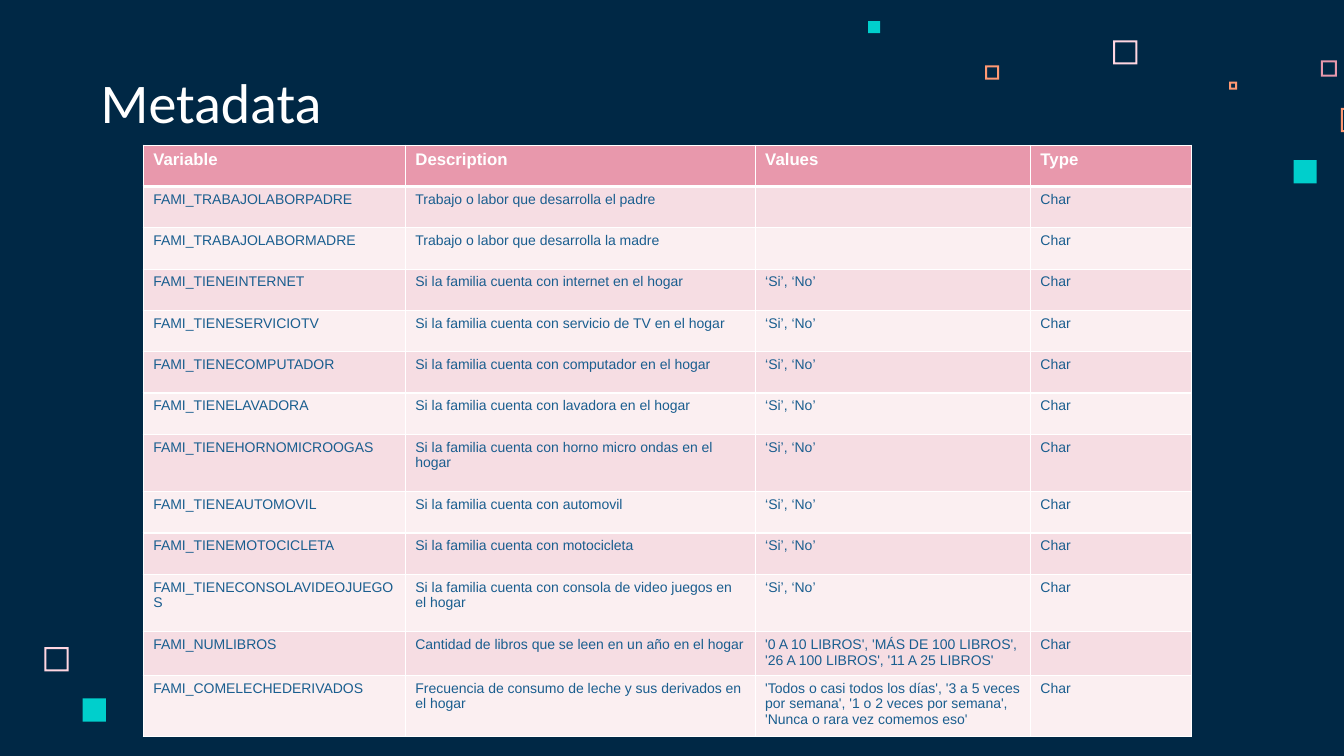
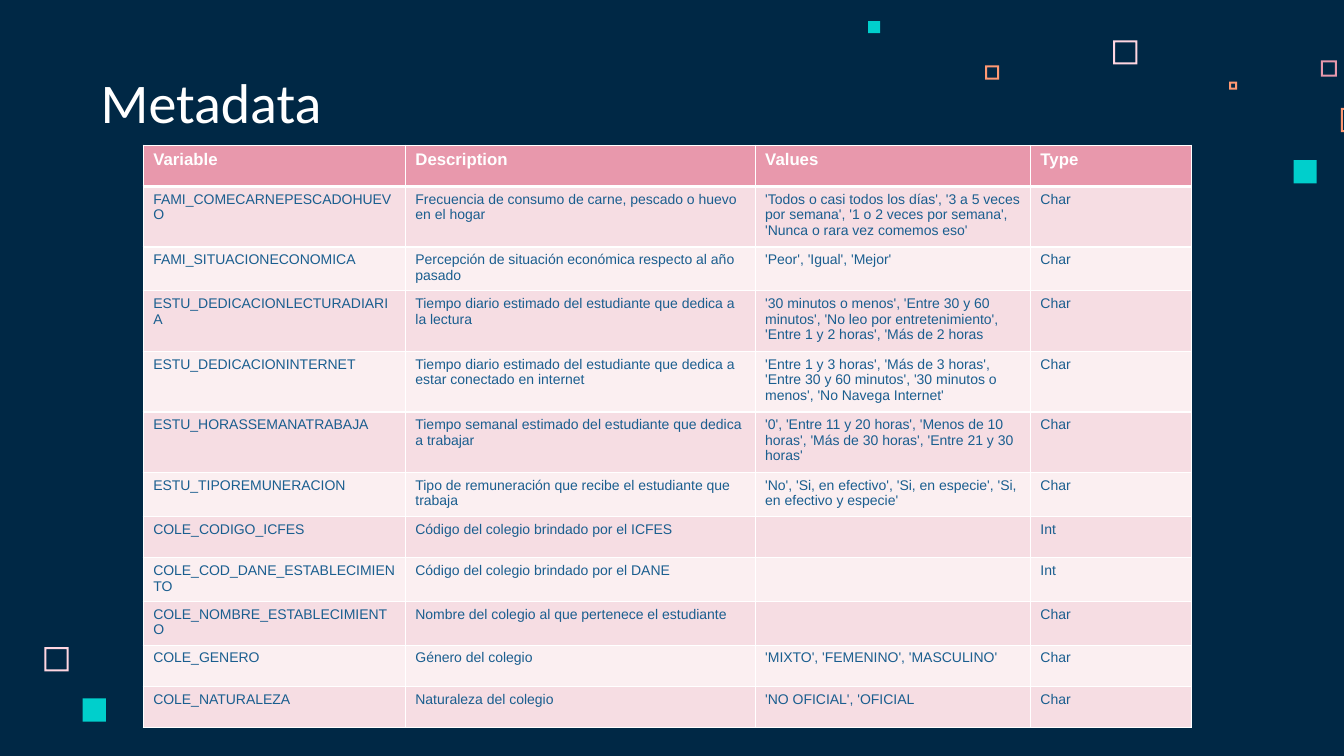
from lxml.etree import SubElement
from pptx import Presentation
from pptx.dml.color import RGBColor
from pptx.enum.shapes import MSO_SHAPE
from pptx.enum.text import MSO_ANCHOR
from pptx.oxml.ns import qn
from pptx.util import Inches, Pt

COLORS = {
    "background": "002845", "white": "FFFFFF", "text": "1A5E8F",
    "header": "E898AC", "odd": "F6DDE3", "even": "FBEFF1",
    "blush": "FFD6E1", "rose": "E898AC", "orange": "FF9973", "teal": "00CFCC",
}

TITLE = "Metadata"
HEADINGS = ("Variable", "Description", "Values", "Type")
YES_NO = "‘Si’, ‘No’"
FREQUENCY = ("'Todos o casi todos los días', '3 a 5 veces por semana', "
             "'1 o 2 veces por semana', 'Nunca o rara vez comemos eso'")

FAMILY = [
    ("FAMI_TRABAJOLABORPADRE", "Trabajo o labor que desarrolla el padre", "", "Char"),
    ("FAMI_TRABAJOLABORMADRE", "Trabajo o labor que desarrolla la madre", "", "Char"),
    ("FAMI_TIENEINTERNET", "Si la familia cuenta con internet en el hogar", YES_NO, "Char"),
    ("FAMI_TIENESERVICIOTV", "Si la familia cuenta con servicio de TV en el hogar",
     YES_NO, "Char"),
    ("FAMI_TIENECOMPUTADOR", "Si la familia cuenta con computador en el hogar",
     YES_NO, "Char"),
    ("FAMI_TIENELAVADORA", "Si la familia cuenta con lavadora en el hogar", YES_NO, "Char"),
    ("FAMI_TIENEHORNOMICROOGAS", "Si la familia cuenta con horno micro ondas en el hogar",
     YES_NO, "Char"),
    ("FAMI_TIENEAUTOMOVIL", "Si la familia cuenta con automovil", YES_NO, "Char"),
    ("FAMI_TIENEMOTOCICLETA", "Si la familia cuenta con motocicleta", YES_NO, "Char"),
    ("FAMI_TIENECONSOLAVIDEOJUEGOS",
     "Si la familia cuenta con consola de video juegos en el hogar", YES_NO, "Char"),
    ("FAMI_NUMLIBROS", "Cantidad de libros que se leen en un año en el hogar",
     "'0 A 10 LIBROS', 'MÁS DE 100 LIBROS', '26 A 100 LIBROS', '11 A 25 LIBROS'", "Char"),
    ("FAMI_COMELECHEDERIVADOS",
     "Frecuencia de consumo de leche y sus derivados en el hogar", FREQUENCY, "Char"),
]

STUDENT_AND_SCHOOL = [
    ("FAMI_COMECARNEPESCADOHUEVO",
     "Frecuencia de consumo de carne, pescado o huevo en el hogar", FREQUENCY, "Char"),
    ("FAMI_SITUACIONECONOMICA", "Percepción de situación económica respecto al año pasado",
     "'Peor', 'Igual', 'Mejor'", "Char"),
    ("ESTU_DEDICACIONLECTURADIARIA",
     "Tiempo diario estimado del estudiante que dedica a la lectura",
     "'30 minutos o menos', 'Entre 30 y 60 minutos', 'No leo por entretenimiento', "
     "'Entre 1 y 2 horas', 'Más de 2 horas", "Char"),
    ("ESTU_DEDICACIONINTERNET",
     "Tiempo diario estimado del estudiante que dedica a estar conectado en internet",
     "'Entre 1 y 3 horas', 'Más de 3 horas', 'Entre 30 y 60 minutos', "
     "'30 minutos o menos', 'No Navega Internet'", "Char"),
    ("ESTU_HORASSEMANATRABAJA",
     "Tiempo semanal estimado del estudiante que dedica a trabajar",
     "'0', 'Entre 11 y 20 horas', 'Menos de 10 horas', 'Más de 30 horas', "
     "'Entre 21 y 30 horas'", "Char"),
    ("ESTU_TIPOREMUNERACION", "Tipo de remuneración que recibe el estudiante que trabaja",
     "'No', 'Si, en efectivo', 'Si, en especie', 'Si, en efectivo y especie'", "Char"),
    ("COLE_CODIGO_ICFES", "Código del colegio brindado por el ICFES", "", "Int"),
    ("COLE_COD_DANE_ESTABLECIMIENTO", "Código del colegio brindado por el DANE", "", "Int"),
    ("COLE_NOMBRE_ESTABLECIMIENTO", "Nombre del colegio al que pertenece el estudiante",
     "", "Char"),
    ("COLE_GENERO", "Género del colegio", "'MIXTO', 'FEMENINO', 'MASCULINO'", "Char"),
    ("COLE_NATURALEZA", "Naturaleza del colegio", "'NO OFICIAL', 'OFICIAL", "Char"),
]

TALL_VARIABLES = {
    "FAMI_TIENEHORNOMICROOGAS", "FAMI_TIENECONSOLAVIDEOJUEGOS", "FAMI_COMELECHEDERIVADOS",
    "FAMI_COMECARNEPESCADOHUEVO", "ESTU_DEDICACIONLECTURADIARIA",
    "ESTU_DEDICACIONINTERNET", "ESTU_HORASSEMANATRABAJA",
}
ROW_HEIGHT, TALL_ROW_HEIGHT = 0.41, 0.57
COLUMN_WIDTHS = (2.6, 3.47, 2.73, 1.6)
TABLE_LEFT, TABLE_TOP = 1.42, 1.44

# left, top, side, colour
OPEN_SQUARES = [
    (11.04, 0.4, 0.24, "blush"), (13.1, 0.6, 0.16, "rose"), (12.19, 0.81, 0.08, "orange"),
    (13.3, 1.07, 0.24, "orange"), (9.77, 0.65, 0.14, "orange"), (0.44, 6.42, 0.24, "blush"),
]
SOLID_SQUARES = [
    (12.83, 1.59, 0.23, "teal"), (8.61, 0.21, 0.12, "teal"), (0.82, 6.93, 0.23, "teal"),
]
SQUARE_EDGE = 0.02


def rgb(name):
    """Return the palette colour called name."""
    return RGBColor.from_string(COLORS[name])


def paint(fill, name):
    """Make a fill solid in a palette colour."""
    fill.solid()
    fill.fore_color.rgb = rgb(name)


def write(frame, text, font, size, color, bold=False):
    """Set the text of a frame and format its runs."""
    frame.text = text
    for run in frame.paragraphs[0].runs:
        run.font.name, run.font.size, run.font.bold = font, Pt(size), bold
        run.font.color.rgb = rgb(color)


def add_square(slide, kind, left, top, side, color):
    """Draw one decorative square and return it."""
    square = slide.shapes.add_shape(
        kind, Inches(left), Inches(top), Inches(side), Inches(side))
    square.shadow.inherit = False
    paint(square.fill, color)
    square.line.fill.background()
    if kind == MSO_SHAPE.FRAME:
        square.adjustments[0] = SQUARE_EDGE / side
    return square


def decorate_layout(layout, slide):
    """Give the layout the background and the squares, drawn first on a slide."""
    paint(layout.background.fill, "background")
    layout_tree = layout.shapes.element
    for placeholder in list(layout.placeholders):
        layout_tree.remove(placeholder.element)
    for kind, squares in ((MSO_SHAPE.FRAME, OPEN_SQUARES),
                          (MSO_SHAPE.RECTANGLE, SOLID_SQUARES)):
        for square in squares:
            layout_tree.append(add_square(slide, kind, *square).element)


def set_borders(cell, top, bottom):
    """Draw white borders, with the top and bottom widths in points."""
    properties = cell._tc.get_or_add_tcPr()
    sides = (("lnL", 1), ("lnR", 1), ("lnT", top), ("lnB", bottom))
    for position, (side, width) in enumerate(sides):
        border = SubElement(properties, qn(f"a:{side}"), w=str(Pt(width)))
        fill = SubElement(border, qn("a:solidFill"))
        SubElement(fill, qn("a:srgbClr"), val=COLORS["white"])
        properties.insert(position, border)


def add_title(slide):
    """Write the slide title."""
    title = slide.shapes.add_textbox(Inches(0.9), Inches(0.6), Inches(6.89), Inches(0.84))
    frame = title.text_frame
    frame.word_wrap = True
    frame.vertical_anchor = MSO_ANCHOR.BOTTOM
    frame.margin_left = frame.margin_right = Inches(0.1)
    frame.margin_top = frame.margin_bottom = Inches(0.1)
    write(frame, TITLE, "Calibri", 40, "white")


def add_variables(slide, variables):
    """Add the table that describes the variables."""
    rows = [HEADINGS, *variables]
    heights = [TALL_ROW_HEIGHT if row[0] in TALL_VARIABLES else ROW_HEIGHT for row in rows]
    table = slide.shapes.add_table(
        len(rows), len(HEADINGS), Inches(TABLE_LEFT), Inches(TABLE_TOP),
        Inches(sum(COLUMN_WIDTHS)), Inches(sum(heights))).table
    table.horz_banding = False
    for column, width in zip(table.columns, COLUMN_WIDTHS):
        column.width = Inches(width)
    for index, (row, height) in enumerate(zip(rows, heights)):
        table.rows[index].height = Inches(height)
        is_header = index == 0
        band = "header" if is_header else "odd" if index % 2 else "even"
        for cell, text in zip(table.rows[index].cells, row):
            paint(cell.fill, band)
            set_borders(cell, top=3 if index == 1 else 1, bottom=3 if is_header else 1)
            write(cell.text_frame, text, "Arial", 12 if is_header else 10,
                  "white" if is_header else "text", is_header)


def build():
    """Build and save the presentation."""
    deck = Presentation()
    deck.slide_width, deck.slide_height = Inches(13.33), Inches(7.5)
    blank = deck.slide_layouts[6]
    for index, variables in enumerate((FAMILY, STUDENT_AND_SCHOOL)):
        slide = deck.slides.add_slide(blank)
        if index == 0:
            decorate_layout(blank, slide)
            for placeholder in list(slide.placeholders):
                slide.shapes.element.remove(placeholder.element)
        add_title(slide)
        add_variables(slide, variables)
    deck.save("out.pptx")


build()
